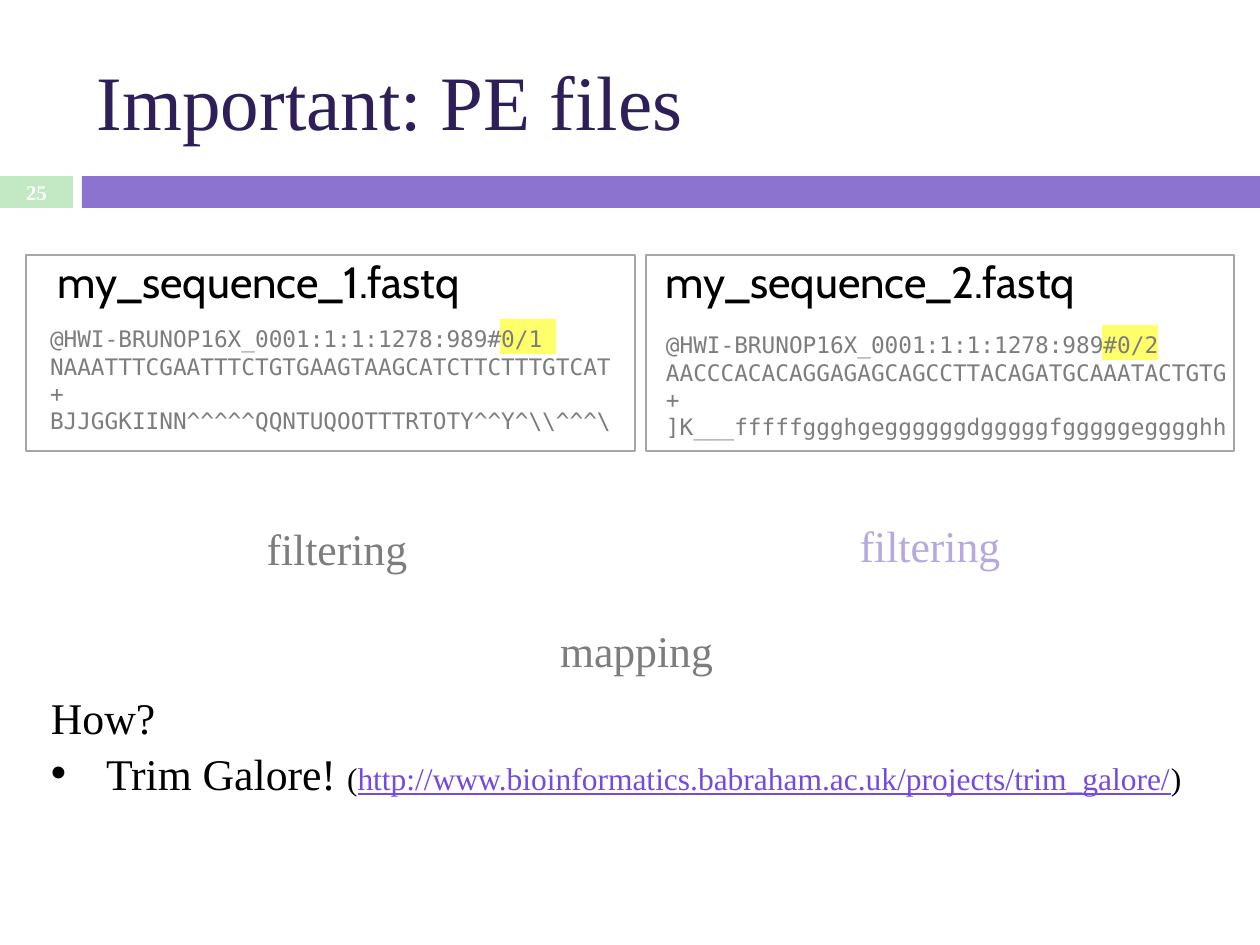
"""Build the slide on paired-end files, their filtering and mapping."""
from lxml import etree
from pptx import Presentation, util as u
from pptx.dml.color import RGBColor
from pptx.enum import shapes, text
from pptx.oxml.ns import qn

SERIF, MONO, SANS = "Times New Roman", "DejaVu Sans Mono", "Cabin"
GREY, BLACK, WHITE = "7D7D7D", "000000", "FFFFFF"
LEFT, CENTER = text.PP_ALIGN.LEFT, text.PP_ALIGN.CENTER
TOP, MIDDLE = text.MSO_ANCHOR.TOP, text.MSO_ANCHOR.MIDDLE
TIGHT = (9, 5)

TITLE = "Important: PE files"
BARS = [((0, 176, 73, 32), "C2E8C4"), ((82, 176, 1178, 32), "8C73D0")]
FILES = [
    {
        "name": "my_sequence_1.fastq",
        "lines": [
            "@HWI-BRUNOP16X_0001:1:1:1278:989#0/1",
            "NAAATTTCGAATTTCTGTGAAGTAAGCATCTTCTTTGTCAT",
            "+",
            r"BJJGGKIINN^^^^^QQNTUQOOTTTRTOTY^^Y^\\^^^" + "\\",
        ],
        "frame": (26, 255, 609, 196),
        "name_left": 45,
        "code": (37, 319, 588, 124),
        "mark_left": 500,
    },
    {
        "name": "my_sequence_2.fastq",
        "lines": [
            "@HWI-BRUNOP16X_0001:1:1:1278:989#0/2",
            "AACCCACACAGGAGAGCAGCCTTACAGATGCAAATACTGTG",
            "+",
            "]K___fffffggghgeggggggdgggggfgggggegggghh",
        ],
        "frame": (646, 255, 588, 196),
        "name_left": 653,
        "code": (653, 325, 602, 124),
        "mark_left": 1102,
    },
]
STEPS = [
    ("filtering", (173, 517, 328, 63), GREY, MIDDLE),
    ("filtering", (766, 514, 328, 62), "B7A9E0", MIDDLE),
    ("mapping", (525, 619, 223, 63), GREY, TOP),
]
HOW = [
    "How?",
    [
        ("Trim Galore! ", {}),
        ("(", {"size": 18}),
        ("http://www.bioinformatics.babraham.ac.uk/projects/trim_galore/",
         {"size": 18, "color": "744AE0", "underline": True}),
        (")", {"size": 18}),
    ],
]


def px(value):
    return u.Emu(round(value * 914400 / 126))


def place(at):
    return [px(value) for value in at]


def rgb(code):
    return RGBColor.from_string(code)


def style(font, size, name, color, bold=False, underline=False):
    font.size, font.name, font.bold = u.Pt(size), name, bold
    font.color.rgb = rgb(color)
    font.underline = underline


def fill_text(box, paragraphs, size=25, font=SERIF, color=BLACK, bold=False,
              align=LEFT, anchor=TOP, inset=(13, 6), wrap=True, spacing=None):
    frame = box.text_frame
    frame.word_wrap, frame.vertical_anchor = wrap, anchor
    frame.margin_left = frame.margin_right = px(inset[0])
    frame.margin_top = frame.margin_bottom = px(inset[1])
    base = {"size": size, "name": font, "color": color, "bold": bold}
    for index, content in enumerate(paragraphs):
        para = frame.add_paragraph() if index else frame.paragraphs[0]
        para.alignment = align
        if spacing:
            para.line_spacing = spacing
        runs = [(content, {})] if isinstance(content, str) else content
        for words, changes in runs:
            span = para.add_run()
            span.text = words
            style(span.font, **{**base, **changes})
    return frame


def add_text(parent, at, paragraphs, **look):
    return fill_text(parent.add_textbox(*place(at)), paragraphs, **look)


def add_rectangle(parent, at, fill=None, line=None, opacity=None):
    shape = parent.add_shape(shapes.MSO_SHAPE.RECTANGLE, *place(at))
    shape.shadow.inherit = False
    if fill:
        shape.fill.solid()
        shape.fill.fore_color.rgb = rgb(fill)
    else:
        shape.fill.background()
    if line:
        shape.line.color.rgb, shape.line.width = rgb(line), u.Pt(1.5)
    else:
        shape.line.fill.background()
    if opacity:
        tint = shape.fill._xPr.find(".//" + qn("a:srgbClr"))
        etree.SubElement(tint, qn("a:alpha"), val=str(opacity * 1000))


def add_bullet(para, indent):
    properties = para._p.get_or_add_pPr()
    properties.set("marL", str(px(indent)))
    properties.set("indent", str(-px(indent)))
    etree.SubElement(properties, qn("a:buFont"), typeface="Arial")
    etree.SubElement(properties, qn("a:buChar"), char="•")


def add_file(page, file):
    parent = page.shapes.add_group_shape().shapes
    code_top = file["code"][1]
    add_rectangle(parent, (file["mark_left"], code_top, 56, 35), "FFFF00", opacity=58)
    add_text(parent, file["code"], file["lines"], size=13, font=MONO,
             color=GREY, wrap=False)
    add_text(parent, (file["name_left"], 249, 455, 66), [file["name"]], font=SANS)
    add_rectangle(parent, file["frame"], line="A6A6A6")


def main():
    deck = Presentation()
    deck.slide_width, deck.slide_height = px(1260), px(945)
    page = deck.slides.add_slide(deck.slide_layouts[5])

    title = page.shapes.title
    title.left, title.top, title.width, title.height = place((84, 32, 1124, 136))
    fill_text(title, [TITLE], size=44, color="2F1F58", anchor=MIDDLE)

    for at, color in BARS:
        add_rectangle(page.shapes, at, color)
    for file in FILES:
        add_file(page, file)
    for label, at, color, anchor in STEPS:
        add_text(page.shapes, at, [label], color=color, align=CENTER,
                 anchor=anchor, inset=TIGHT)

    how = add_text(page.shapes, (42, 683, 1181, 154), HOW, inset=TIGHT, spacing=1.06)
    add_bullet(how.paragraphs[1], 55)
    add_text(page.shapes, (0, 175, 73, 34), ["25"], size=11.9, color=WHITE,
             bold=True, align=CENTER, anchor=MIDDLE)
    deck.save("out.pptx")


if __name__ == "__main__":
    main()
